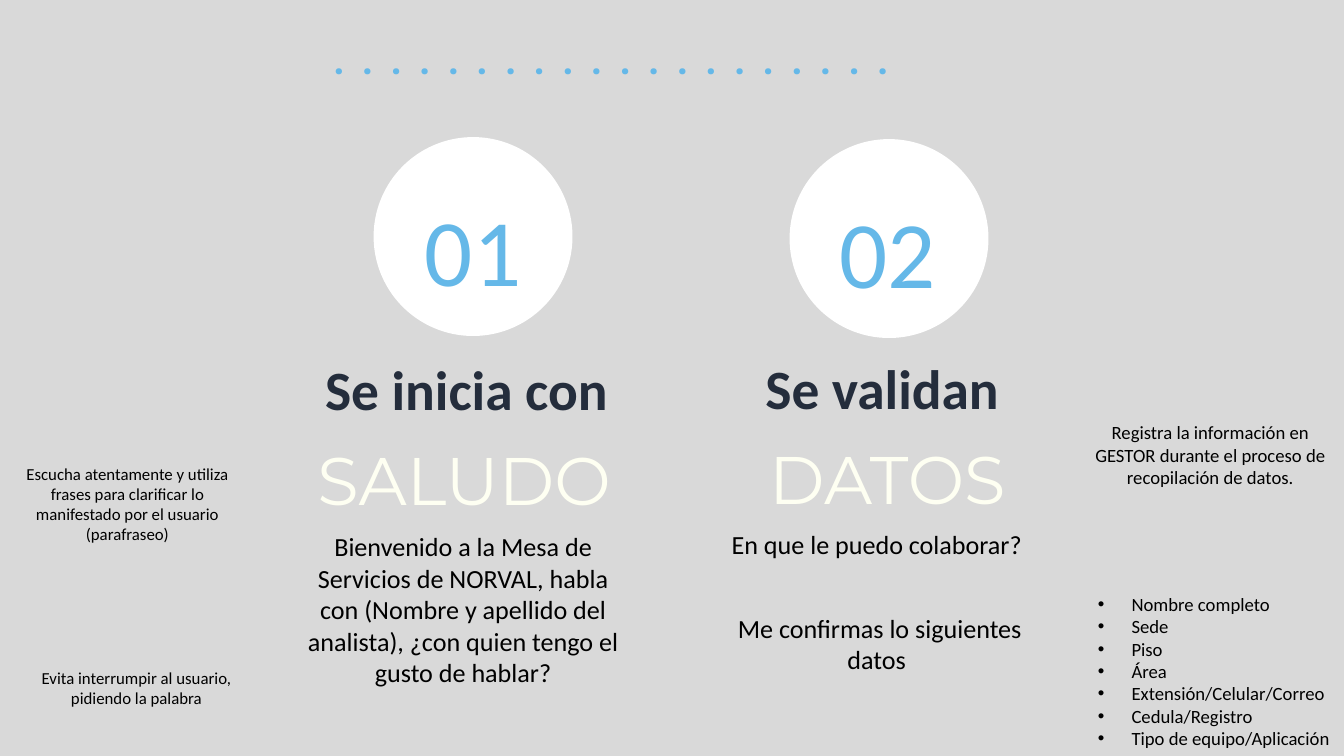
from dataclasses import dataclass

from lxml import etree
from pptx import Presentation
from pptx import util as u
from pptx.dml.color import RGBColor
from pptx.enum import shapes, text
from pptx.oxml.ns import qn


@dataclass(frozen=True)
class Theme:
    """Colours, fonts and type sizes of the slide."""
    background: str = "D9D9D9"
    disc: str = "FFFFFF"
    accent: str = "65B8E8"
    heading: str = "242D3C"
    keyword: str = "FEFFF2"
    body: str = "000000"
    body_font: str = "Calibri"
    keyword_font: str = "Montserrat"
    dots_font: str = "Roboto"
    number_size: float = 101.9
    heading_size: float = 59.4
    keyword_size: float = 72
    dots_size: float = 60
    script_size: float = 28
    note_size: float = 20
    tip_size: float = 18


THEME = Theme()
DISC_SIZE = 2.96

STEPS = [
    {"number": "01", "disc": (5.56, 2.04), "number_box": (6.22, 2.56, 1.64, 1.93),
     "heading": "Se inicia con ", "heading_box": (4.6, 5.12, 4.87, 1.16),
     "keyword": "SALUDO", "keyword_box": (4.29, 6.18, 5.23, 1.43),
     "script": ["Bienvenido a la Mesa de Servicios de NORVAL, habla con (Nombre y "
                "apellido del analista), ¿con quien tengo el gusto de hablar?"],
     "script_box": (4.42, 7.85, 4.94, 2.46)},
    {"number": "02", "disc": (11.75, 2.07), "number_box": (12.39, 2.59, 1.64, 1.93),
     "heading": "Se validan ", "heading_box": (10.23, 5.11, 5.98, 1.14),
     "keyword": "DATOS", "keyword_box": (10.2, 6.17, 6.01, 1.48),
     "script": ["En que le puedo colaborar? ", "Me confirmas lo siguientes datos "],
     "script_box": (10.62, 7.82, 4.94, 2.76)},
]

NOTES = [
    ("Registra la información en GESTOR durante el proceso de recopilación de datos.",
     (16.19, 6.22, 3.64, 1.11), THEME.note_size),
    ("Escucha atentamente y utiliza frases para clarificar lo manifestado por el "
     "usuario (parafraseo)", (0.27, 6.85, 3.25, 1.31), THEME.tip_size),
    ("Evita interrumpir al usuario, pidiendo la palabra",
     (0.27, 9.89, 3.52, 0.71), THEME.tip_size),
]

REQUIRED_DATA = ["Nombre completo", "Sede", "Piso", "Área", "Extensión/Celular/Correo",
                 "Cedula/Registro", "Tipo de equipo/Aplicación"]


def add_bullet(paragraph):
    """Give a paragraph a hanging round bullet."""
    properties = paragraph._p.get_or_add_pPr()
    properties.set("marL", str(u.Inches(0.5)))
    properties.set("indent", str(-u.Inches(0.5)))
    etree.SubElement(properties, qn("a:buFont")).set("typeface", "Arial")
    etree.SubElement(properties, qn("a:buChar")).set("char", "•")


def add_text(slide, lines, box, *, size, color=THEME.body, font=THEME.body_font,
             bold=False, centred=True, leading=None, gap=0, bullets=False,
             wrap=True, inset=True):
    """Place formatted paragraphs in a text box."""
    frame = slide.shapes.add_textbox(*map(u.Inches, box)).text_frame
    frame.word_wrap = wrap
    frame.auto_size = text.MSO_AUTO_SIZE.SHAPE_TO_FIT_TEXT
    if not inset:
        frame.margin_left = frame.margin_right = 0
        frame.margin_top = frame.margin_bottom = 0
    for index, line in enumerate(lines):
        paragraph = frame.add_paragraph() if index else frame.paragraphs[0]
        if bullets:
            add_bullet(paragraph)
        paragraph.alignment = text.PP_ALIGN.CENTER if centred else text.PP_ALIGN.LEFT
        if leading:
            paragraph.line_spacing = u.Pt(leading)
        if index and gap:
            paragraph.space_before = u.Pt(gap)
        run = paragraph.add_run()
        run.text = line
        run.font.name = font
        run.font.size = u.Pt(size)
        run.font.bold = bold
        run.font.color.rgb = RGBColor.from_string(color)


def add_disc(slide, left, top):
    """Draw the plain disc behind a step number."""
    disc = slide.shapes.add_shape(shapes.MSO_SHAPE.OVAL, u.Inches(left), u.Inches(top),
                                  u.Inches(DISC_SIZE), u.Inches(DISC_SIZE))
    disc.shadow.inherit = False
    disc.fill.solid()
    disc.fill.fore_color.rgb = RGBColor.from_string(THEME.disc)
    disc.line.fill.background()


def add_step(slide, step):
    """Build one numbered step with its heading, keyword and script."""
    add_disc(slide, *step["disc"])
    add_text(slide, [step["keyword"]], step["keyword_box"], size=THEME.keyword_size,
             color=THEME.keyword, font=THEME.keyword_font, leading=110.9, inset=False)
    add_text(slide, [step["heading"]], step["heading_box"], size=THEME.heading_size,
             color=THEME.heading, bold=True, leading=83.2, inset=False)
    add_text(slide, [step["number"]], step["number_box"], size=THEME.number_size,
             color=THEME.accent, leading=142.6, inset=False)
    add_text(slide, step["script"], step["script_box"], size=THEME.script_size, gap=56)


def main():
    """Build and save the slide."""
    deck = Presentation()
    deck.slide_width, deck.slide_height = u.Inches(20), u.Inches(11.25)
    slide = deck.slides.add_slide(deck.slide_layouts[6])
    slide.background.fill.solid()
    slide.background.fill.fore_color.rgb = RGBColor.from_string(THEME.background)
    add_text(slide, [" ".join("." * 20)], (4.84, 0.23, 10.72, 1.11), size=THEME.dots_size,
             color=THEME.accent, font=THEME.dots_font, centred=False, wrap=False)
    for step in STEPS:
        add_step(slide, step)
    for note, box, size in NOTES:
        add_text(slide, [note], box, size=size)
    add_text(slide, REQUIRED_DATA, (16.24, 8.77, 3.76, 2.79), size=THEME.note_size,
             centred=False, bullets=True)
    deck.save("out.pptx")


if __name__ == "__main__":
    main()
